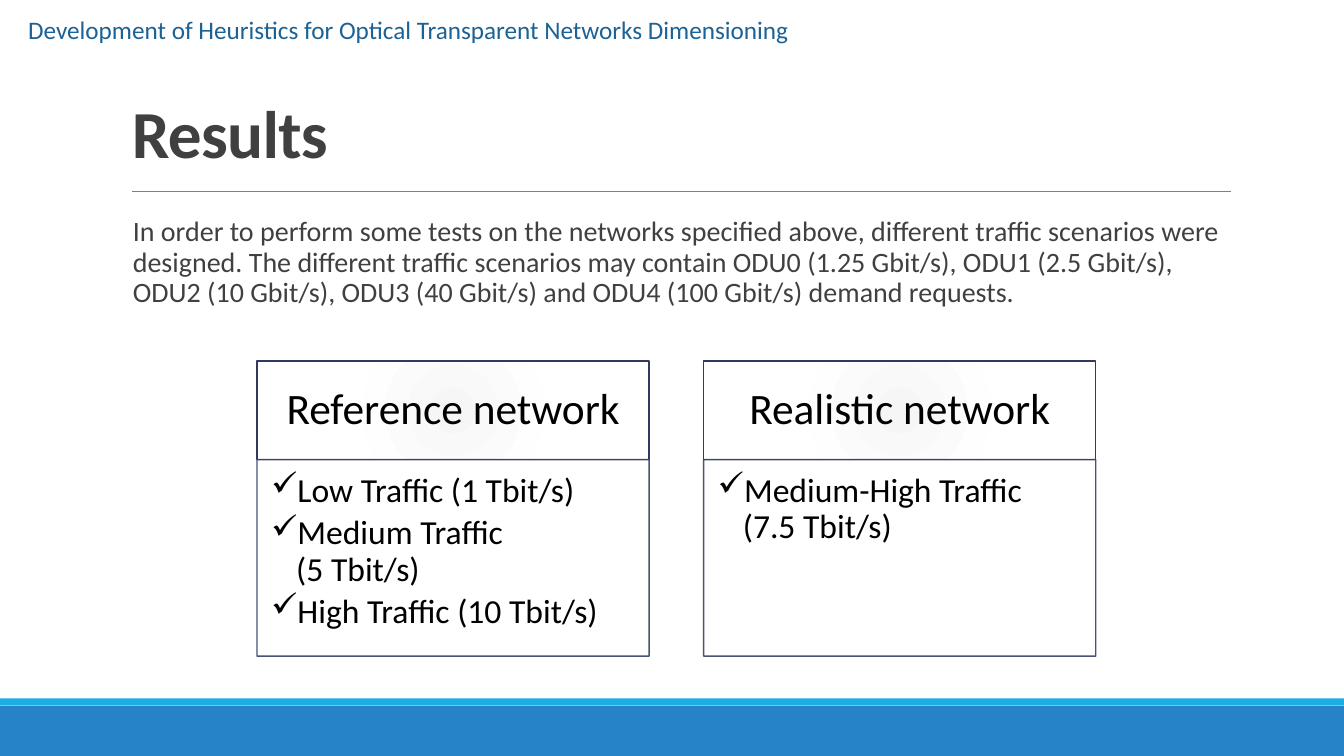
from dataclasses import dataclass

from lxml.etree import SubElement
from pptx import Presentation
from pptx.dml.color import RGBColor
from pptx.enum.shapes import MSO_CONNECTOR, MSO_SHAPE
from pptx.enum.text import MSO_ANCHOR, PP_ALIGN
from pptx.oxml.ns import qn
from pptx.shapes.autoshape import Shape
from pptx.slide import Slide
from pptx.text.text import TextFrame
from pptx.util import Pt

COLORS = {
    "band": "2683C6", "stripe": "1CADE4", "rule": "808080", "text": "404040",
    "running": "1D6294", "black": "000000", "white": "FFFFFF",
    "heading_line": "2F3A5E", "list_line": "344068",
}
HEADING_STOPS = ((0, "F6F6F6"), (45, "FEFEFE"), (100, "FFFFFF"))
FONT = "Calibri"
CARD_WIDTH, CARD_LEFT, CARD_STEP = 280.1, 183.6, 319
CARD_TOP, HEADING_HEIGHT, LIST_HEIGHT = 257.8, 70.5, 140.4


@dataclass
class Area:
    left: float
    top: float
    width: float
    height: float

    def lengths(self) -> tuple:
        return Pt(self.left), Pt(self.top), Pt(self.width), Pt(self.height)


@dataclass
class Caption:
    text: str
    area: Area
    size: float
    color: str
    bold: bool = False
    line_spacing: float = 1.0
    anchor: MSO_ANCHOR = MSO_ANCHOR.TOP


@dataclass
class Card:
    heading: str
    items: tuple[str, ...]


CAPTIONS = (
    Caption("Results", Area(87.1, 60.5, 792, 66.2), 48, "text", True, 0.85,
            MSO_ANCHOR.BOTTOM),
    Caption("In order to perform some tests on the networks specified above, "
            "different traffic scenarios were designed. The different traffic "
            "scenarios may contain ODU0 (1.25 Gbit/s), ODU1 (2.5 Gbit/s), ODU2 "
            "(10 Gbit/s), ODU3 (40 Gbit/s) and ODU4 (100 Gbit/s) demand requests.",
            Area(87.8, 151.9, 791.3, 81.4), 20, "text", line_spacing=0.9),
    Caption("Development of Heuristics for Optical Transparent Networks Dimensioning",
            Area(13, 6.5, 694.8, 28.8), 18, "running"),
)
CARDS = (
    Card("Reference network", ("Low Traffic (1 Tbit/s)",
                               "Medium Traffic\v(5 Tbit/s)",
                               "High Traffic (10 Tbit/s)")),
    Card("Realistic network", ("Medium-High Traffic (7.5 Tbit/s)",)),
)


def color(name: str) -> RGBColor:
    return RGBColor.from_string(COLORS[name])


def set_font(para, size: float, name: str, bold: bool = False) -> None:
    para.font.name, para.font.size = FONT, Pt(size)
    para.font.bold = bold
    para.font.color.rgb = color(name)


def set_margins(frame: TextFrame, left: float, top: float, right: float,
                bottom: float) -> None:
    frame.word_wrap = True
    frame.margin_left, frame.margin_top = Pt(left), Pt(top)
    frame.margin_right, frame.margin_bottom = Pt(right), Pt(bottom)


def add_rectangle(page: Slide, area: Area, fill: str, line: str = "") -> Shape:
    box = page.shapes.add_shape(MSO_SHAPE.RECTANGLE, *area.lengths())
    box.shadow.inherit = False
    box.fill.solid()
    box.fill.fore_color.rgb = color(fill)
    if line:
        box.line.color.rgb = color(line)
        box.line.width = Pt(1)
    else:
        box.line.fill.background()
    return box


def add_caption(page: Slide, caption: Caption) -> None:
    box = page.shapes.add_textbox(*caption.area.lengths())
    frame = box.text_frame
    set_margins(frame, 7.2, 3.6, 0 if caption.size == 20 else 7.2, 3.6)
    frame.vertical_anchor = caption.anchor
    para = frame.paragraphs[0]
    para.text = caption.text
    para.line_spacing = caption.line_spacing
    set_font(para, caption.size, caption.color, caption.bold)
    if caption.bold:  # the title is set slightly tighter
        para.runs[0].font._element.set("spc", "-50")


def add_radial_fill(box: Shape) -> None:
    box.fill.gradient()
    gradient = box._element.spPr.find(qn("a:gradFill"))
    for child in list(gradient):
        gradient.remove(child)
    stops = SubElement(gradient, qn("a:gsLst"))
    for position, value in HEADING_STOPS:
        stop = SubElement(stops, qn("a:gs"), pos=str(position * 1000))
        SubElement(stop, qn("a:srgbClr"), val=value)
    circle = SubElement(gradient, qn("a:path"), {"path": "circle"})
    SubElement(circle, qn("a:fillToRect"), {side: "100000" for side in "ltrb"})


def add_check_bullet(para) -> None:
    properties = para._p.get_or_add_pPr()
    properties.set("marL", str(Pt(18)))
    properties.set("indent", str(-Pt(18)))
    SubElement(properties, qn("a:buChar"), char="✓")


def add_card(page: Slide, card: Card, left: float) -> None:
    # Heading
    heading = add_rectangle(page, Area(left, CARD_TOP, CARD_WIDTH, HEADING_HEIGHT),
                            "white", "heading_line")
    add_radial_fill(heading)
    frame = heading.text_frame
    set_margins(frame, 17.3, 10, 17.3, 10)
    frame.vertical_anchor = MSO_ANCHOR.MIDDLE
    para = frame.paragraphs[0]
    para.text = card.heading
    para.alignment, para.line_spacing = PP_ALIGN.CENTER, 0.9
    set_font(para, 31, "black")

    # Check list
    area = Area(left, CARD_TOP + HEADING_HEIGHT, CARD_WIDTH, LIST_HEIGHT)
    checklist = add_rectangle(page, area, "white", "list_line")
    for tint in checklist._element.spPr.iter(qn("a:srgbClr")):
        SubElement(tint, qn("a:alpha"), val="90000")
    frame = checklist.text_frame
    set_margins(frame, 10, 10, 13.5, 15)
    frame.vertical_anchor = MSO_ANCHOR.TOP
    for index, item in enumerate(card.items):
        para = frame.add_paragraph() if index else frame.paragraphs[0]
        para.text = item
        para.alignment, para.line_spacing = PP_ALIGN.LEFT, 0.9
        para.space_after = Pt(4.3)
        add_check_bullet(para)
        set_font(para, 24, "black")


def main() -> None:
    deck = Presentation()
    deck.slide_width, deck.slide_height = Pt(960), Pt(540)
    page = deck.slides.add_slide(deck.slide_layouts[6])

    # Footer bands and title rule
    add_rectangle(page, Area(0, 504, 960, 36), "band")
    add_rectangle(page, Area(0, 498.9, 960, 5), "stripe")
    rule = page.shapes.add_connector(MSO_CONNECTOR.STRAIGHT, Pt(94.3), Pt(136.8),
                                     Pt(879.1), Pt(136.8))
    rule.line.color.rgb = color("rule")
    rule.line.width = Pt(0.5)
    SubElement(rule._element.spPr, qn("a:effectLst"))

    # Texts and network cards
    for caption in CAPTIONS:
        add_caption(page, caption)
    for index, card in enumerate(CARDS):
        add_card(page, card, CARD_LEFT + index * CARD_STEP)

    deck.save("out.pptx")


if __name__ == "__main__":
    main()
